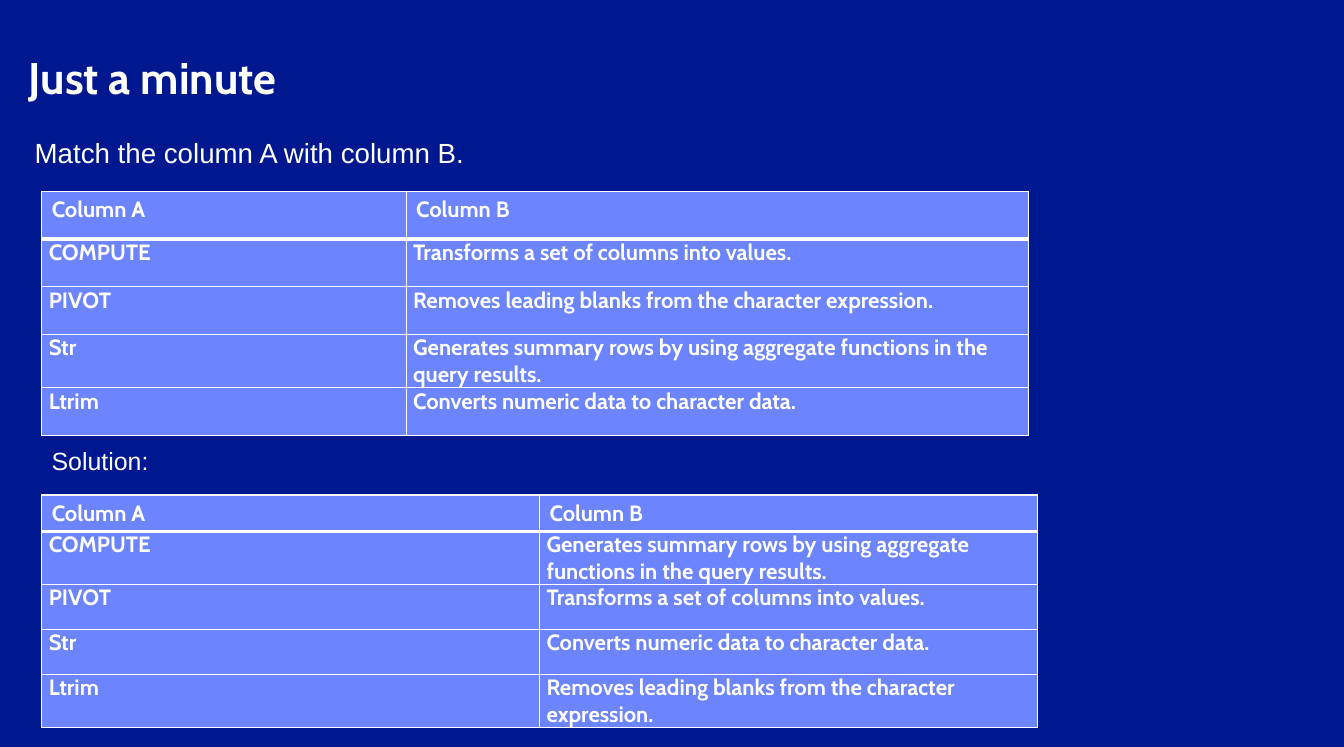
from lxml.etree import SubElement
from pptx import Presentation
from pptx.dml.color import RGBColor
from pptx.oxml.ns import qn
from pptx.util import Inches, Pt

WHITE, NAVY, PERIWINKLE = "FFFFFF", "00188F", "6C85FF"


def color(hex_value):
    return RGBColor.from_string(hex_value)


def write(text_frame, text, font_format):
    run = text_frame.paragraphs[0].add_run()
    run.text = text
    run.font.color.rgb = color(WHITE)
    for name, value in font_format.items():
        setattr(run.font, name, value)


presentation = Presentation()
presentation.slide_width = Inches(13.5)
presentation.slide_height = Inches(7.5)
slide = presentation.slides.add_slide(presentation.slide_layouts[6])
slide.background.fill.solid()
slide.background.fill.fore_color.rgb = color(NAVY)

# Title, instruction and solution label
title_font = {"name": "Cabin", "size": Pt(32), "bold": True}
instruction_font = {"name": "Arial", "size": Pt(20)}
label_font = {"name": "Arial", "size": Pt(18)}
for text, box, wrap, font_format in [
    ("Just a minute", (0.19, 0.46, 7.5, 0.64), True, title_font),
    ("Match the column A with column B.", (0.25, 1.31, 4.55, 0.44), False, instruction_font),
    ("Solution:", (0.42, 4.42, 1.18, 0.4), False, label_font),
]:
    text_box = slide.shapes.add_textbox(*map(Inches, box))
    text_box.text_frame.word_wrap = wrap
    write(text_box.text_frame, text, font_format)

# Matching terms and their descriptions
summary = "Generates summary rows by using aggregate functions in the query results."
transform = "Transforms a set of columns into values."
convert = "Converts numeric data to character data."
trim = "Removes leading blanks from the character expression."
terms = ["Column A", "COMPUTE", "PIVOT", "Str", "Ltrim"]
question = ["Column B", transform, trim, summary, convert]
solution = ["Column B", summary, transform, convert, trim]

# Question and solution tables
cell_font = {"name": "Cabin", "size": Pt(16), "bold": True}
header_margins = {"margin_left": 0.1, "margin_right": 0.1, "margin_top": 0.05, "margin_bottom": 0.05}
body_margins = {"margin_left": 0.07, "margin_right": 0.07, "margin_top": 0, "margin_bottom": 0}
for top, widths, heights, descriptions in [
    (1.92, [3.66, 6.25], [0.48] * 5, question),
    (4.97, [5, 5], [0.36, 0.5, 0.45, 0.45, 0.5], solution),
]:
    table = slide.shapes.add_table(
        len(terms), 2, Inches(0.42), Inches(top), Inches(sum(widths)), Inches(sum(heights))
    ).table
    table.first_row = table.horz_banding = False
    for column, width in zip(table.columns, widths):
        column.width = Inches(width)
    for row_index, row_texts in enumerate(zip(terms, descriptions)):
        table.rows[row_index].height = Inches(heights[row_index])
        for column_index, text in enumerate(row_texts):
            cell = table.cell(row_index, column_index)
            write(cell.text_frame, text, cell_font)
            margins = body_margins if row_index else header_margins
            for name, value in margins.items():
                setattr(cell, name, Inches(value))

            # Thin borders, with a thick rule under the header
            properties = cell._tc.get_or_add_tcPr()
            for side in "LRTB":
                thick = (row_index, side) in [(0, "B"), (1, "T")]
                line = SubElement(properties, qn(f"a:ln{side}"), w=str(Pt(3 if thick else 1)))
                line_fill = SubElement(line, qn("a:solidFill"))
                SubElement(line_fill, qn("a:srgbClr"), val=WHITE)
            cell.fill.solid()
            cell.fill.fore_color.rgb = color(PERIWINKLE)

presentation.save("out.pptx")
